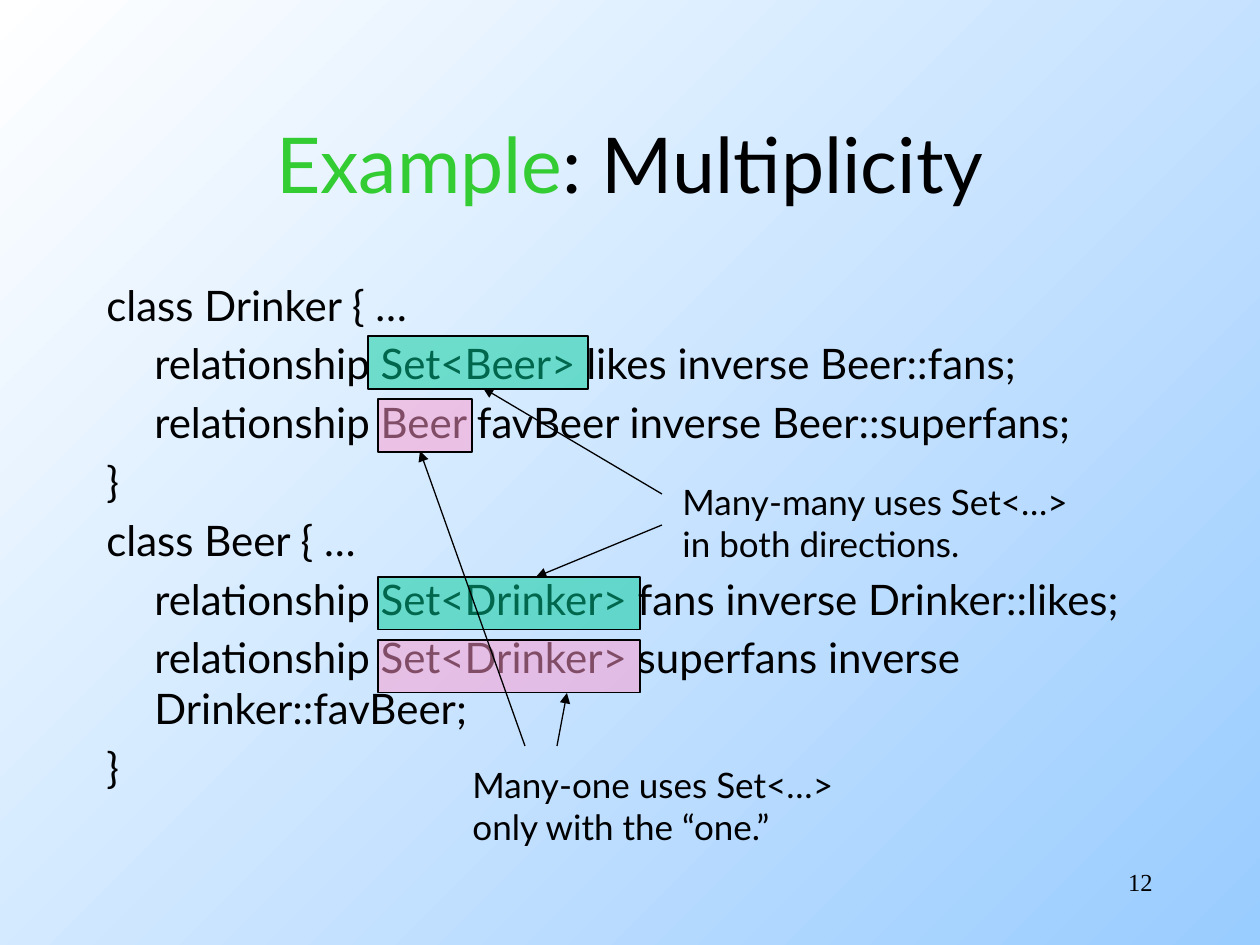
"""Build the slide on relationship multiplicity between two classes."""
from lxml.etree import SubElement
from pptx import Presentation
from pptx.dml.color import RGBColor
from pptx.enum.shapes import MSO_CONNECTOR, MSO_SHAPE
from pptx.enum.text import MSO_ANCHOR as Anchor, PP_ALIGN as Align
from pptx.oxml.ns import qn
from pptx.util import Emu, Pt

PIXEL = 914400 // 126
THEME = {
    "font": "Lato", "number_font": "Times New Roman",
    "black": "000000", "accent": "33CC33", "many": "00CC99", "one": "FF99CC",
    "background": ("FFFFFF", "99CCFF"),
    "title": 44, "code": 24, "note": 20, "number": 14,
    "code_gap": 4.8, "line": 0.75, "opacity": 50000,
}
INDENT = 48
BOX_HEIGHT = 53

TITLE = [("Example", "accent"), (": Multiplicity", "black")]
TITLE_BOX = (94, 84, 1072, 158)
CODE_BOX = (94, 273, 1072, 567)
CODE = [
    (0, "class Drinker { …"),
    (1, "relationship Set<Beer> likes inverse Beer::fans;"),
    (1, "relationship Beer favBeer inverse Beer::superfans;"),
    (0, "}"),
    (0, "class Beer { …"),
    (1, "relationship Set<Drinker> fans inverse Drinker::likes;"),
    (1, "relationship Set<Drinker> superfans inverse Drinker::favBeer;"),
    (0, "}"),
]
NUMBER, NUMBER_BOX = "12", (903, 861, 262, 63)
CALLOUTS = [
    {"color": "many",
     "boxes": [(368, 336, 220), (378, 577, 262)],
     "note": ["Many-many uses Set<…>", "in both directions."],
     "note_box": (670, 474, 425, 97),
     "arrows": [(662, 494, 483, 388), (662, 525, 536, 577)]},
    {"color": "one",
     "boxes": [(378, 399, 94), (378, 640, 262)],
     "note": ["Many-one uses Set<…>", "only with the “one.”"],
     "note_box": (460, 757, 397, 97),
     "arrows": [(525, 746, 420, 451), (557, 746, 567, 693)]},
]


def px(*lengths):
    return [Emu(length * PIXEL) for length in lengths]


def rgb(name):
    return RGBColor.from_string(THEME[name])


def style(paragraph, size, color="black", font="font"):
    for run in paragraph.runs:
        run.font.name = THEME[font]
        run.font.size = Pt(THEME[size])
        run.font.color.rgb = rgb(color)


def add_text(shapes, box, lines, size, font="font"):
    frame = shapes.add_textbox(*px(*box)).text_frame
    frame.word_wrap = True
    frame.text = "\n".join(lines)
    for paragraph in frame.paragraphs:
        style(paragraph, size, font=font)
    return frame


def outline(shape):
    shape.line.color.rgb = rgb("black")
    shape.line.width = Pt(THEME["line"])


def add_highlight(shapes, left, top, width, color):
    shape = shapes.add_shape(MSO_SHAPE.RECTANGLE, *px(left, top, width, BOX_HEIGHT))
    shape.shadow.inherit = False
    shape.fill.solid()
    shape.fill.fore_color.rgb = rgb(color)
    fill_color = shape.fill._xPr.find(qn("a:solidFill"))[0]
    SubElement(fill_color, qn("a:alpha"), val=str(THEME["opacity"]))
    outline(shape)


def add_arrow(shapes, ends):
    arrow = shapes.add_connector(MSO_CONNECTOR.STRAIGHT, *px(*ends))
    outline(arrow)
    SubElement(arrow.line._get_or_add_ln(), qn("a:tailEnd"), type="triangle")
    SubElement(arrow._element.spPr, qn("a:effectLst"))


def add_callout(slide, callout):
    shapes = slide.shapes.add_group_shape().shapes
    for box in callout["boxes"]:
        add_highlight(shapes, *box, callout["color"])
    add_text(shapes, callout["note_box"], callout["note"], "note")
    for ends in callout["arrows"]:
        add_arrow(shapes, ends)


def add_title(slide):
    title = slide.shapes.title
    title.left, title.top, title.width, title.height = px(*TITLE_BOX)
    title.text_frame.vertical_anchor = Anchor.MIDDLE
    paragraph = title.text_frame.paragraphs[0]
    paragraph.alignment = Align.CENTER
    for text, color in TITLE:
        run = paragraph.add_run()
        run.text = text
    style(paragraph, "title")
    for run, (text, color) in zip(paragraph.runs, TITLE):
        run.font.color.rgb = rgb(color)


def add_code(slide):
    frame = add_text(slide.shapes, CODE_BOX, [text for level, text in CODE], "code")
    for paragraph, (level, text) in zip(frame.paragraphs, CODE):
        paragraph.space_before = Pt(THEME["code_gap"])
        properties = paragraph._p.get_or_add_pPr()
        properties.set("marL", str(INDENT * PIXEL))
        properties.set("indent", str((level - 1) * INDENT * PIXEL))


def main():
    presentation = Presentation()
    presentation.slide_width, presentation.slide_height = px(1260, 945)
    slide = presentation.slides.add_slide(presentation.slide_layouts[5])
    fill = slide.background.fill
    fill.gradient()
    fill.gradient_angle = 315
    for stop, color in zip(fill.gradient_stops, THEME["background"]):
        stop.color.rgb = RGBColor.from_string(color)
    add_title(slide)
    number = add_text(slide.shapes, NUMBER_BOX, [NUMBER], "number", "number_font")
    number.paragraphs[0].alignment = Align.RIGHT
    add_code(slide)
    for callout in CALLOUTS:
        add_callout(slide, callout)
    presentation.save("out.pptx")


main()
